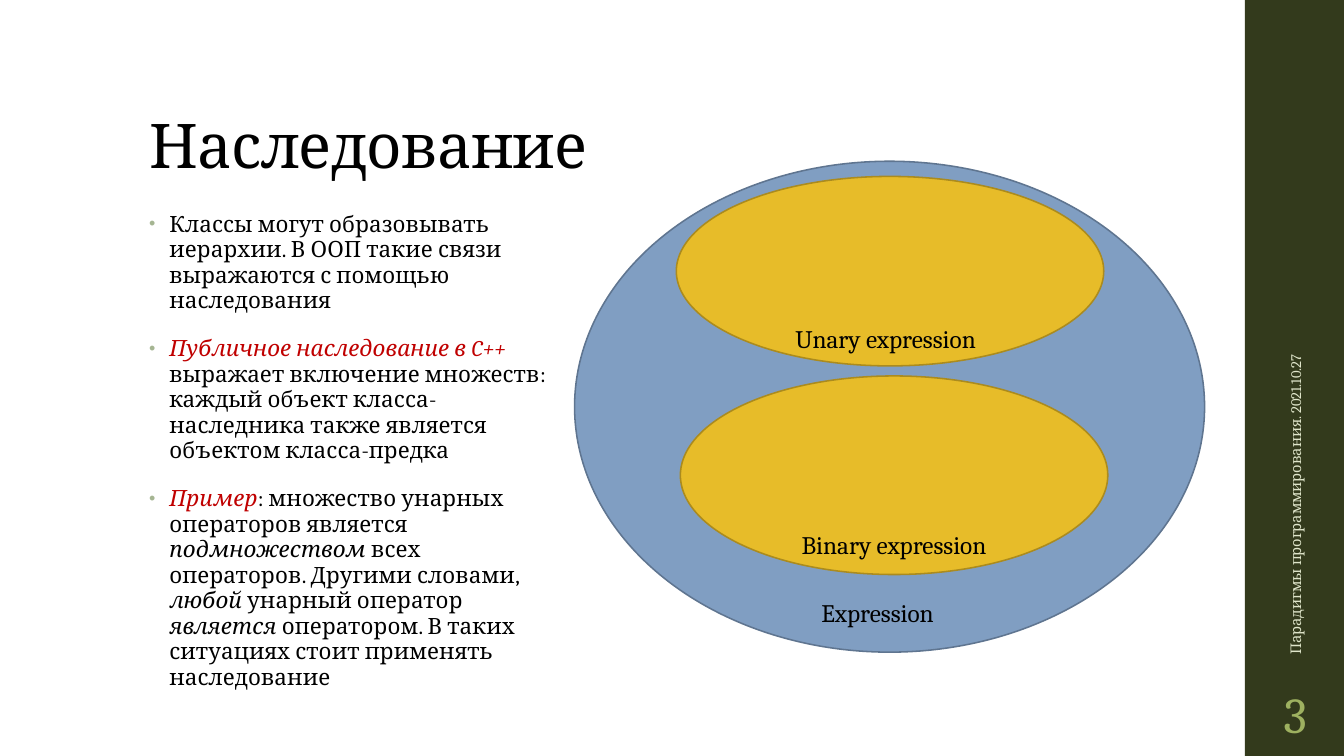
import pptx
import pptx.util
import pptx.dml.color
import pptx.enum.shapes
import pptx.enum.text
from dataclasses import dataclass
from lxml import etree

Pt = pptx.util.Pt
ALIGN = pptx.enum.text.PP_ALIGN
ANCHOR = pptx.enum.text.MSO_ANCHOR
KIND = pptx.enum.shapes.MSO_SHAPE

TITLE = "Наследование"
FOOTER = "Парадигмы программирования. 2021.10.27"
NUMBER = "3"
POINTS = [
    [("Классы могут образовывать иерархии. В ООП такие связи "
      "выражаются с помощью наследования", "plain")],
    [("Публичное наследование в C++", "key"),
     (" выражает включение множеств: каждый объект класса-наследника "
      "также является объектом класса-предка", "plain")],
    [("Пример", "key"),
     (": множество унарных операторов является ", "plain"),
     ("подмножеством", "slant"),
     (" всех операторов. Другими словами, ", "plain"),
     ("любой", "slant"),
     (" унарный оператор ", "plain"),
     ("является", "slant"),
     (" оператором. В таких ситуациях стоит применять наследование", "plain")],
]

CELL = 0.1
COLS, ROWS = 133.33, 75
BAR = (123.5, 0, 10, ROWS)
SPOTS = {
    "title": (13.8, 4, 106, 14.5),
    "body": (13.8, 20.5, 41.7, 47),
    "footer": (108.9, 44.3, 39.2, 4),
    "number": (123.5, 67.5, 10, 6.5),
}
SETS = [
    ("outer", (57, 16, 62.5, 48.7)),
    ("inner", (67.1, 17.5, 42.4, 18.8)),
    ("inner", (67.5, 37.3, 42.4, 19.7)),
]
LABELS = [
    ("Expression", (80.5, 58.8, 15.4, 4), ALIGN.LEFT),
    ("Binary expression", (77, 52, 23.4, 4), ALIGN.CENTER),
    ("Unary expression", (76.4, 31.6, 22.9, 4), ALIGN.CENTER),
]


@dataclass
class Theme:
    font: str = "Cambria"
    ink: str = "000000"
    key: str = "C00000"
    bar: str = "333A1C"
    foot: str = "DFE5CA"
    page: str = "9EB160"
    dot: str = "A5B592"
    outer: tuple = ("809EC2", "5F7590")
    inner: tuple = ("E7BC29", "AB8B1E")
    head_size: float = 44
    body_size: float = 16
    label_size: float = 18
    foot_size: float = 10.5
    page_size: float = 36
    edge: float = 1.1


theme = Theme()
STYLES = {"plain": (None, False), "key": (theme.key, True), "slant": (None, True)}


def rgb(code):
    return pptx.dml.color.RGBColor.from_string(code)


def span(cells):
    return [pptx.util.Inches(n * CELL) for n in cells]


def place(shape, cells):
    shape.left, shape.top, shape.width, shape.height = span(cells)


def add_dot(para):
    props = para._p.get_or_add_pPr()
    props.set("marL", str(pptx.util.Inches(0.2)))
    props.set("indent", str(-pptx.util.Inches(0.2)))
    space = "{http://schemas.openxmlformats.org/drawingml/2006/main}"
    tint = etree.SubElement(props, space + "buClr")
    etree.SubElement(tint, space + "srgbClr", val=theme.dot)
    etree.SubElement(props, space + "buSzPct", val="80000")
    etree.SubElement(props, space + "buFont", typeface="Arial")
    etree.SubElement(props, space + "buChar", char="•")


def write(shape, text, size, color=theme.ink, align=ALIGN.LEFT, anchor=ANCHOR.TOP,
          lead=None, gaps=None, track=None, dots=False):
    frame = shape.text_frame
    frame.word_wrap = True
    frame.auto_size = pptx.enum.text.MSO_AUTO_SIZE.NONE
    frame.vertical_anchor = anchor
    paras = [[(text, "plain")]] if isinstance(text, str) else text
    for i, parts in enumerate(paras):
        para = frame.add_paragraph() if i else frame.paragraphs[0]
        if dots:
            add_dot(para)
        para.alignment = align
        if lead:
            para.line_spacing = lead
        before, after = gaps or (0, 0)
        para.space_before = Pt(before if i else 0)
        para.space_after = Pt(after)
        for words, style in parts:
            tint, slant = STYLES[style]
            run = para.add_run()
            run.text = words
            run.font.name = theme.font
            run.font.size = Pt(size)
            run.font.italic = slant
            run.font.color.rgb = rgb(tint or color)
            if track:
                run.font._element.set("spc", str(track))


def draw(shapes, kind, cells, fill, line=None):
    shape = shapes.add_shape(kind, *span(cells))
    shape.shadow.inherit = False
    shape.fill.solid()
    shape.fill.fore_color.rgb = rgb(fill)
    if line:
        shape.line.color.rgb = rgb(line)
        shape.line.width = Pt(theme.edge)
    else:
        shape.line.fill.background()


def main():
    deck = pptx.Presentation()
    deck.slide_width, deck.slide_height = span((COLS, ROWS))
    slide = deck.slides.add_slide(deck.slide_layouts[1])
    shapes = slide.shapes
    title, body = shapes.title, slide.placeholders[1]

    draw(shapes, KIND.RECTANGLE, BAR, theme.bar)

    place(title, SPOTS["title"])
    write(title, TITLE, theme.head_size, anchor=ANCHOR.BOTTOM, lead=0.9, track=-50)
    place(body, SPOTS["body"])
    write(body, POINTS, theme.body_size, lead=0.95, gaps=(14, 2), track=10, dots=True)

    footer = shapes.add_textbox(*span(SPOTS["footer"]))
    footer.rotation = 270
    write(footer, FOOTER, theme.foot_size, theme.foot, anchor=ANCHOR.MIDDLE)

    number = shapes.add_textbox(*span(SPOTS["number"]))
    number.text_frame.margin_left = number.text_frame.margin_right = span((0.5,))[0]
    write(number, NUMBER, theme.page_size, theme.page, ALIGN.CENTER, ANCHOR.MIDDLE)

    group = shapes.add_group_shape().shapes
    for role, cells in SETS:
        draw(group, KIND.OVAL, cells, *getattr(theme, role))
    for text, cells, align in LABELS:
        write(group.add_textbox(*span(cells)), text, theme.label_size, align=align)

    deck.save("out.pptx")


if __name__ == "__main__":
    main()
